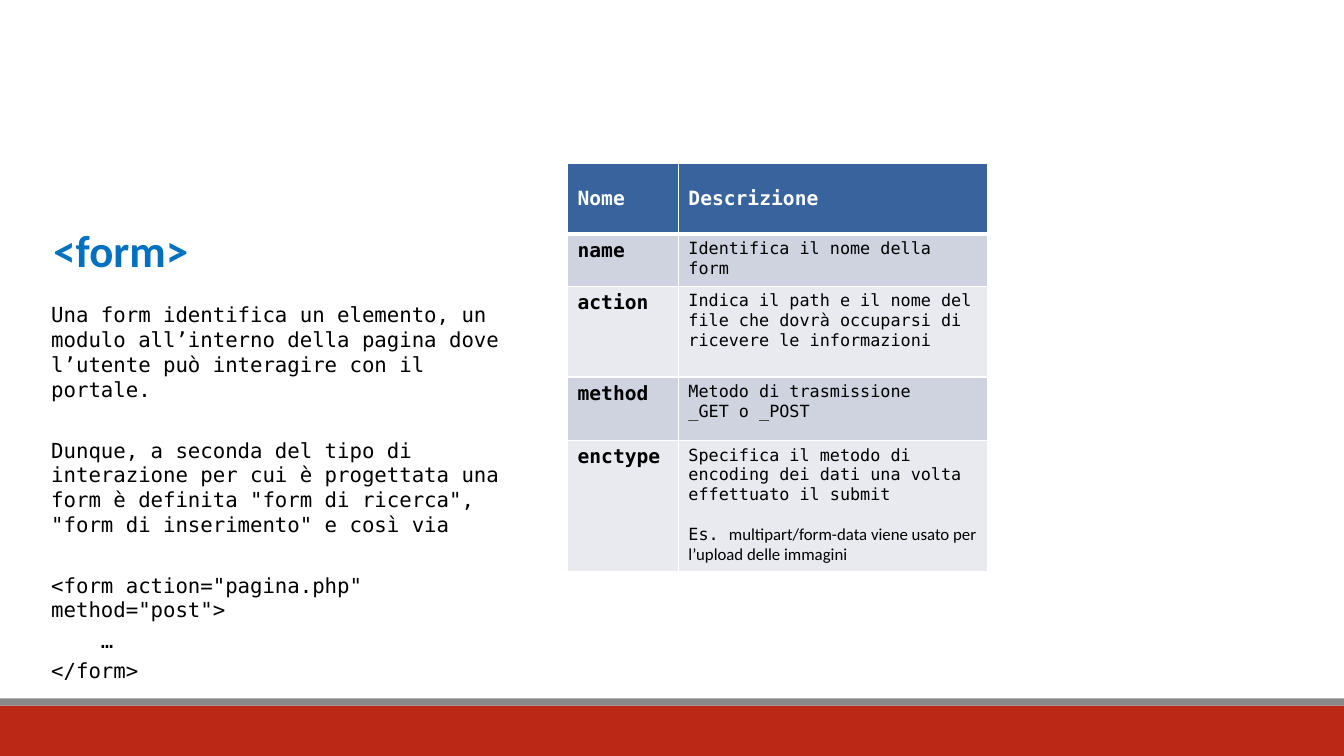
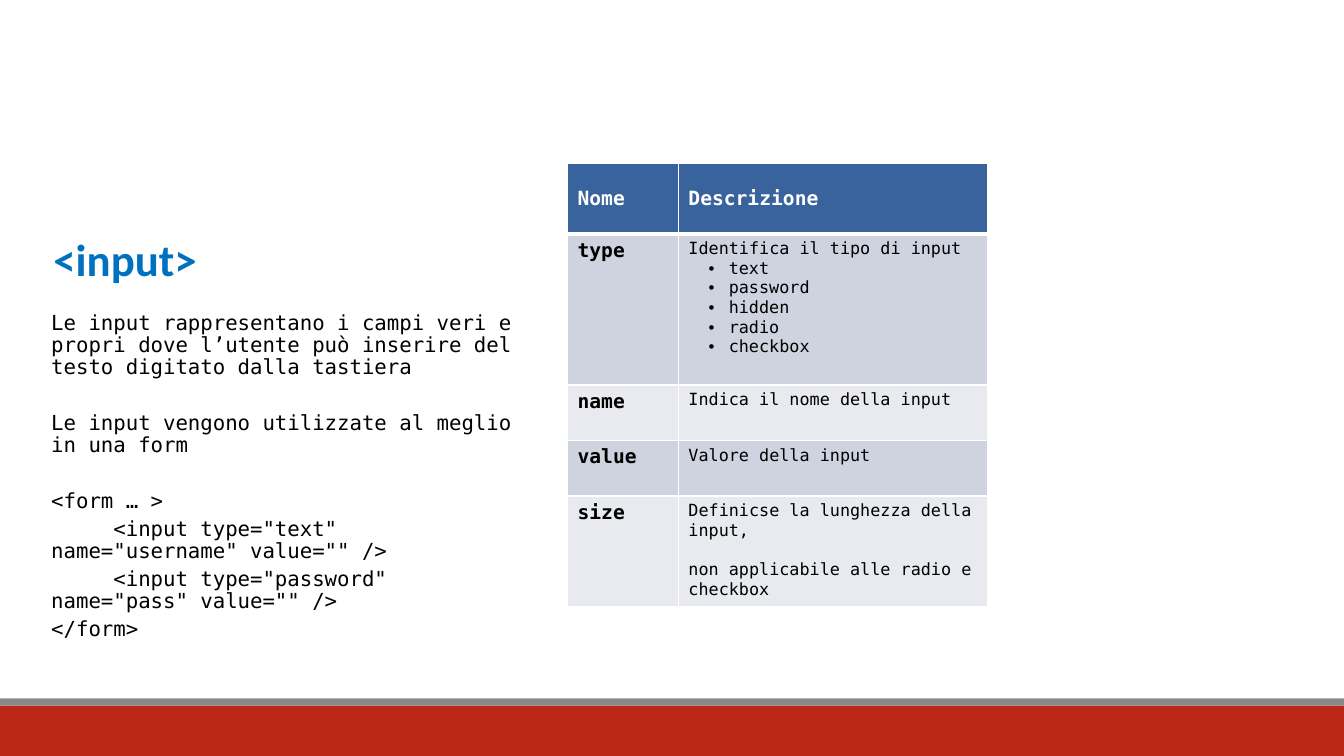
import dataclasses
import typing

import lxml.etree
import pptx
import pptx.dml.color
import pptx.enum.shapes
import pptx.enum.text
import pptx.oxml.ns
import pptx.util

GRID_COLUMNS, GRID_ROWS = 160, 90
SLIDE_WIDTH, SLIDE_HEIGHT = pptx.util.Inches(13.33), pptx.util.Inches(7.5)
qn = pptx.oxml.ns.qn


@dataclasses.dataclass(frozen=True)
class Theme:
    red: str = "BC2816"
    gray: str = "8A8989"
    title: str = "0070C0"
    text: str = "000000"
    white: str = "FFFFFF"
    header: str = "39639D"
    bands: tuple[str, str] = ("CED3DF", "E8EAEF")
    sans: str = "Calibri"
    mono: str = "DejaVu Sans Mono"
    title_size: float = 32
    body_size: float = 14.8
    name_size: float = 14
    description_size: float = 12
    body_gap: float = 4
    line_height: float = 1.18
    rule: float = 1
    header_rule: float = 3


THEME = Theme()


@dataclasses.dataclass(frozen=True)
class Box:
    """An area in grid columns and rows."""
    column: float
    row: float
    columns: float
    rows: float

    def format(self) -> dict[str, int]:
        return {"left": across(self.column), "top": down(self.row),
                "width": across(self.columns), "height": down(self.rows)}


@dataclasses.dataclass(frozen=True)
class Band:
    box: Box
    color: str


@dataclasses.dataclass(frozen=True)
class Style:
    size: float
    color: str = THEME.text
    bold: bool = False
    font: str = THEME.mono


@dataclasses.dataclass(frozen=True)
class Para:
    """A paragraph; apart leaves one line free above, tail is set in sans."""
    text: str
    apart: bool = False
    bullet: bool = False
    tail: str = ""


@dataclasses.dataclass(frozen=True)
class Attribute:
    name: str
    description: tuple[Para, ...]
    rows: float


@dataclasses.dataclass(frozen=True)
class Lesson:
    tag: str
    tag_row: float
    body_box: Box
    line_spacing: float
    body: tuple[Para, ...]
    attributes: tuple[Attribute, ...]


BANDS = (
    Band(Box(0, 84, GRID_COLUMNS, 6), THEME.red),
    Band(Box(0, 83.16, GRID_COLUMNS, 0.84), THEME.gray),
)
TABLE_COLUMN, TABLE_ROW, HEADER_ROWS = 67.56, 19.44, 8.4
TABLE_COLUMNS = (13.2, 36.84)

LESSONS = (
    Lesson(
        "<form>", 18.6, Box(4.92, 35.4, 59.64, 41.52), 1.0,
        (
            Para("Una form identifica un elemento, un modulo all’interno della pagina "
                 "dove l’utente può interagire con il portale."),
            Para("Dunque, a seconda del tipo di interazione per cui è progettata una form "
                 'è definita "form di ricerca", "form di inserimento" e così via', apart=True),
            Para('<form action="pagina.php" method="post">', apart=True),
            Para("    …"),
            Para("</form>"),
        ),
        (
            Attribute("name", (Para("Identifica il nome della form"),), 6.24),
            Attribute("action", (Para("Indica il path e il nome del file che dovrà occuparsi "
                                      "di ricevere le informazioni"),), 10.8),
            Attribute("method", (Para("Metodo di trasmissione"), Para("_GET o _POST")), 7.56),
            Attribute("enctype", (
                Para("Specifica il metodo di encoding dei dati una volta effettuato il submit"),
                Para("Es. ", apart=True,
                     tail="multipart/form-data viene usato per l’upload delle immagini"),
            ), 13.2),
        ),
    ),
    Lesson(
        "<input>", 19.68, Box(4.92, 36.6, 59.64, 44.64), 0.9,
        (
            Para("Le input rappresentano i campi veri e propri dove l’utente può inserire "
                 "del testo digitato dalla tastiera"),
            Para("Le input vengono utilizzate al meglio in una form", apart=True),
            Para("<form … >", apart=True),
            Para('     <input type="text" name="username" value="" />'),
            Para('     <input type="password" name="pass" value="" />'),
            Para("</form>"),
        ),
        (
            Attribute("type", (
                Para("Identifica il tipo di input"),
                *(Para(kind, bullet=True)
                  for kind in ("text", "password", "hidden", "radio", "checkbox")),
            ), 18),
            Attribute("name", (Para("Indica il nome della input"),), 6.6),
            Attribute("value", (Para("Valore della input"),), 6.6),
            Attribute("size", (
                Para("Definicse la lunghezza della input,"),
                Para("non applicabile alle radio e checkbox", apart=True),
            ), 11.16),
        ),
    ),
)


def across(columns: float) -> int:
    return round(SLIDE_WIDTH * columns / GRID_COLUMNS)


def down(rows: float) -> int:
    return round(SLIDE_HEIGHT * rows / GRID_ROWS)


def rgb(color: str) -> pptx.dml.color.RGBColor:
    return pptx.dml.color.RGBColor.from_string(color)


def apply(target: typing.Any, values: dict[str, typing.Any]) -> None:
    for attribute, value in values.items():
        setattr(target, attribute, value)


def paint(target: typing.Any, color: str) -> None:
    target.fill.solid()
    target.fill.fore_color.rgb = rgb(color)


def add_run(paragraph: typing.Any, text: str, style: Style) -> None:
    run = paragraph.add_run()
    run.text = text
    apply(run.font, {"name": style.font, "size": pptx.util.Pt(style.size), "bold": style.bold})
    run.font.color.rgb = rgb(style.color)


def add_bullet(paragraph: typing.Any) -> None:
    properties = paragraph._p.get_or_add_pPr()
    properties.set("marL", str(pptx.util.Inches(0.4)))
    properties.set("indent", str(pptx.util.Inches(-0.2)))
    lxml.etree.SubElement(properties, qn("a:buFont"), typeface="Arial")
    lxml.etree.SubElement(properties, qn("a:buChar"), char="•")


def write(frame: typing.Any, paras: typing.Sequence[Para], style: Style,
          gap: float = 0, spacing: float = 1.0) -> None:
    free_line = style.size * THEME.line_height * spacing + gap
    for index, para in enumerate(paras):
        paragraph = frame.paragraphs[0] if index == 0 else frame.add_paragraph()
        before = gap + free_line * para.apart if index else 0
        apply(paragraph, {"alignment": pptx.enum.text.PP_ALIGN.LEFT,
                          "line_spacing": spacing,
                          "space_before": pptx.util.Pt(before)})
        if para.bullet:
            add_bullet(paragraph)
        add_run(paragraph, para.text, style)
        if para.tail:
            add_run(paragraph, para.tail, dataclasses.replace(style, font=THEME.sans))


def add_bands(slide: typing.Any) -> None:
    """Draws the footer bands and moves them to the layout, for all slides."""
    for number, band in enumerate(BANDS, start=101):
        box = band.box.format()
        bar = slide.shapes.add_shape(pptx.enum.shapes.MSO_SHAPE.RECTANGLE, *box.values())
        bar.shadow.inherit = False
        bar.line.fill.background()
        paint(bar, band.color)
        bar.element.nvSpPr.cNvPr.set("id", str(number))
        slide.slide_layout.shapes.element.append(bar.element)


def add_title(slide: typing.Any, lesson: Lesson) -> None:
    title = slide.shapes.title
    apply(title, Box(5.16, lesson.tag_row, 59.52, 14.88).format())
    apply(title.text_frame, {"word_wrap": True,
                             "auto_size": pptx.enum.text.MSO_AUTO_SIZE.NONE,
                             "vertical_anchor": pptx.enum.text.MSO_ANCHOR.BOTTOM})
    write(title.text_frame, [Para(lesson.tag)],
          Style(THEME.title_size, THEME.title, True, THEME.sans))


def add_body(slide: typing.Any, lesson: Lesson) -> None:
    body = slide.shapes.add_textbox(*lesson.body_box.format().values())
    body.text_frame.word_wrap = True
    write(body.text_frame, lesson.body, Style(THEME.body_size),
          THEME.body_gap, lesson.line_spacing)


def set_borders(cell: typing.Any, row: int) -> None:
    widths = {"lnL": THEME.rule, "lnR": THEME.rule,
              "lnT": THEME.header_rule if row == 1 else THEME.rule,
              "lnB": THEME.header_rule if row == 0 else THEME.rule}
    properties = cell._tc.get_or_add_tcPr()
    for side, width in widths.items():
        line = lxml.etree.SubElement(properties, qn(f"a:{side}"), w=str(pptx.util.Pt(width)))
        fill = lxml.etree.SubElement(line, qn("a:solidFill"))
        lxml.etree.SubElement(fill, qn("a:srgbClr"), val=THEME.white)


def add_attribute_table(slide: typing.Any, attributes: tuple[Attribute, ...]) -> None:
    entries = (Attribute("Nome", (Para("Descrizione"),), HEADER_ROWS), *attributes)
    box = Box(TABLE_COLUMN, TABLE_ROW, sum(TABLE_COLUMNS), sum(e.rows for e in entries))
    table = slide.shapes.add_table(len(entries), len(TABLE_COLUMNS),
                                   *box.format().values()).table
    table.horz_banding = False
    for column, columns in zip(table.columns, TABLE_COLUMNS):
        column.width = across(columns)

    heading = Style(THEME.name_size, THEME.white, True)
    entry_styles = (Style(THEME.name_size, bold=True), Style(THEME.description_size))
    for row, entry in enumerate(entries):
        table.rows[row].height = down(entry.rows)
        styles = entry_styles if row else (heading, heading)
        color = THEME.bands[(row - 1) % 2] if row else THEME.header
        contents = ((Para(entry.name),), entry.description)
        for column, (paras, style) in enumerate(zip(contents, styles)):
            cell = table.cell(row, column)
            set_borders(cell, row)
            paint(cell, color)
            cell.vertical_anchor = (pptx.enum.text.MSO_ANCHOR.TOP if row
                                    else pptx.enum.text.MSO_ANCHOR.MIDDLE)
            write(cell.text_frame, paras, style)


def main() -> None:
    deck = pptx.Presentation()
    apply(deck, {"slide_width": SLIDE_WIDTH, "slide_height": SLIDE_HEIGHT})
    title_only = deck.slide_layouts[5]
    for index, lesson in enumerate(LESSONS):
        slide = deck.slides.add_slide(title_only)
        if index == 0:
            add_bands(slide)
        add_title(slide, lesson)
        add_body(slide, lesson)
        add_attribute_table(slide, lesson.attributes)
    deck.save("out.pptx")


if __name__ == "__main__":
    main()
